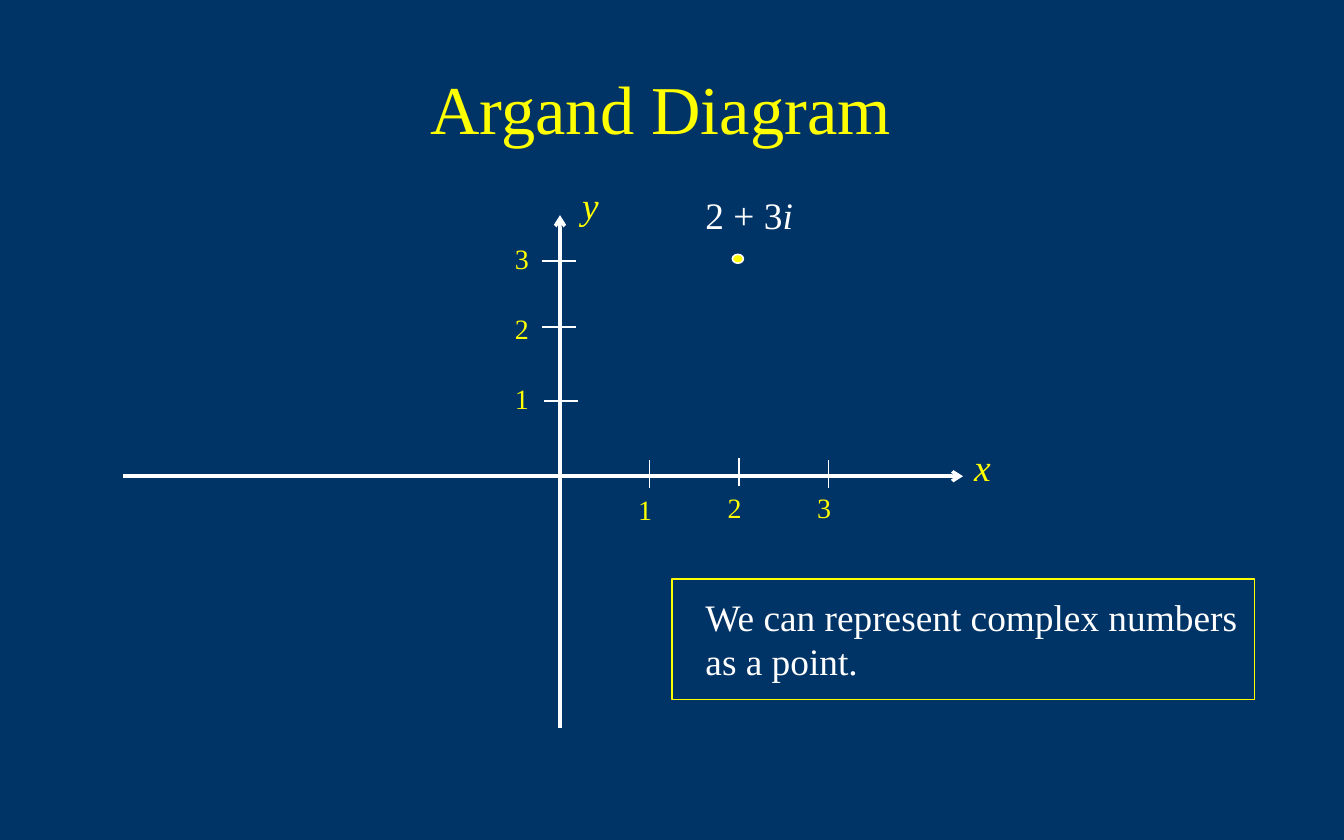
from lxml import etree
from pptx import Presentation
from pptx.dml.color import RGBColor
from pptx.enum.shapes import MSO_CONNECTOR as Connector, MSO_SHAPE as Shape
from pptx.enum.text import MSO_ANCHOR as Anchor, PP_ALIGN as Align
from pptx.oxml.ns import qn
from pptx.util import Cm, Pt

NAVY, YELLOW, WHITE = "003366", "FFFF00", "FFFFFF"


def color(value):
    return RGBColor.from_string(value)


def add_text(text, left, top, width, height, size, shade=YELLOW, italic=False):
    box = slide.shapes.add_textbox(Cm(left), Cm(top), Cm(width), Cm(height))
    box.text_frame.word_wrap = True
    para = box.text_frame.paragraphs[0]
    para.text = text
    para.font.name = "Times New Roman"
    para.font.size = Pt(size)
    para.font.italic = italic
    para.font.color.rgb = color(shade)
    return box.text_frame


deck = Presentation()
deck.slide_width, deck.slide_height = Cm(30.48), Cm(19.05)
slide = deck.slides.add_slide(deck.slide_layouts[6])
slide.background.fill.solid()
slide.background.fill.fore_color.rgb = color(NAVY)

title = add_text("Argand Diagram", 2.03, 0.84, 25.91, 3.18, 44)
title.vertical_anchor = Anchor.MIDDLE
title.paragraphs[0].alignment = Align.CENTER

# Axes and ticks: start x, start y, end x, end y, width, arrowhead element
lines = [
    (12.7, 4.88, 12.7, 16.51, 2.25, "a:headEnd"),
    (2.79, 10.8, 21.84, 10.8, 2.25, "a:tailEnd"),
]
for number, top in enumerate((10.44, 10.39, 10.44), start=1):
    x = 12.7 + 2.03 * number
    lines.append((x, top, x, top + 0.63, 1, None))
for left, y in ((12.34, 9.09), (12.29, 7.42), (12.29, 5.92)):
    lines.append((left, y, left + 0.77, y, 1, None))

for x1, y1, x2, y2, width, arrowhead in lines:
    line = slide.shapes.add_connector(
        Connector.STRAIGHT, Cm(x1), Cm(y1), Cm(x2), Cm(y2))
    line.line.color.rgb = color(WHITE)
    line.line.width = Pt(width)
    if arrowhead:
        outline = line.line._get_or_add_ln()
        etree.SubElement(outline, qn(arrowhead), type="arrow")
    etree.SubElement(line._element.spPr, qn("a:effectLst"))

add_text("x", 21.84, 9.96, 2.03, 1.27, 24, italic=True)
add_text("y", 12.95, 4.01, 2.03, 1.27, 24, italic=True)
for number, top in enumerate((11.05, 11, 11), start=1):
    add_text(str(number), 12.19 + 2.03 * number, top, 2.03, 1.02, 18)
for number, top in enumerate((8.53, 6.93, 5.36), start=1):
    add_text(str(number), 11.43, top, 2.03, 1.02, 18)

point = slide.shapes.add_shape(Shape.OVAL, Cm(16.61), Cm(5.77), Cm(0.25), Cm(0.2))
point.shadow.inherit = False
point.fill.solid()
point.fill.fore_color.rgb = color(YELLOW)
point.line.color.rgb = color(WHITE)
point.line.width = Pt(1)

point_label = add_text("2 + 3", 15.75, 4.24, 6.1, 1.27, 24, WHITE)
span = point_label.paragraphs[0].add_run()
span.text = "i"
span.font.italic = True

add_text("We can represent complex numbers as a point.",
         15.75, 13.34, 13.21, 2.31, 24, WHITE)
frame = slide.shapes.add_shape(
    Shape.RECTANGLE, Cm(15.24), Cm(13.13), Cm(13.21), Cm(2.74))
frame.shadow.inherit = False
frame.fill.background()
frame.line.color.rgb = color(YELLOW)
frame.line.width = Pt(1)

deck.save("out.pptx")
